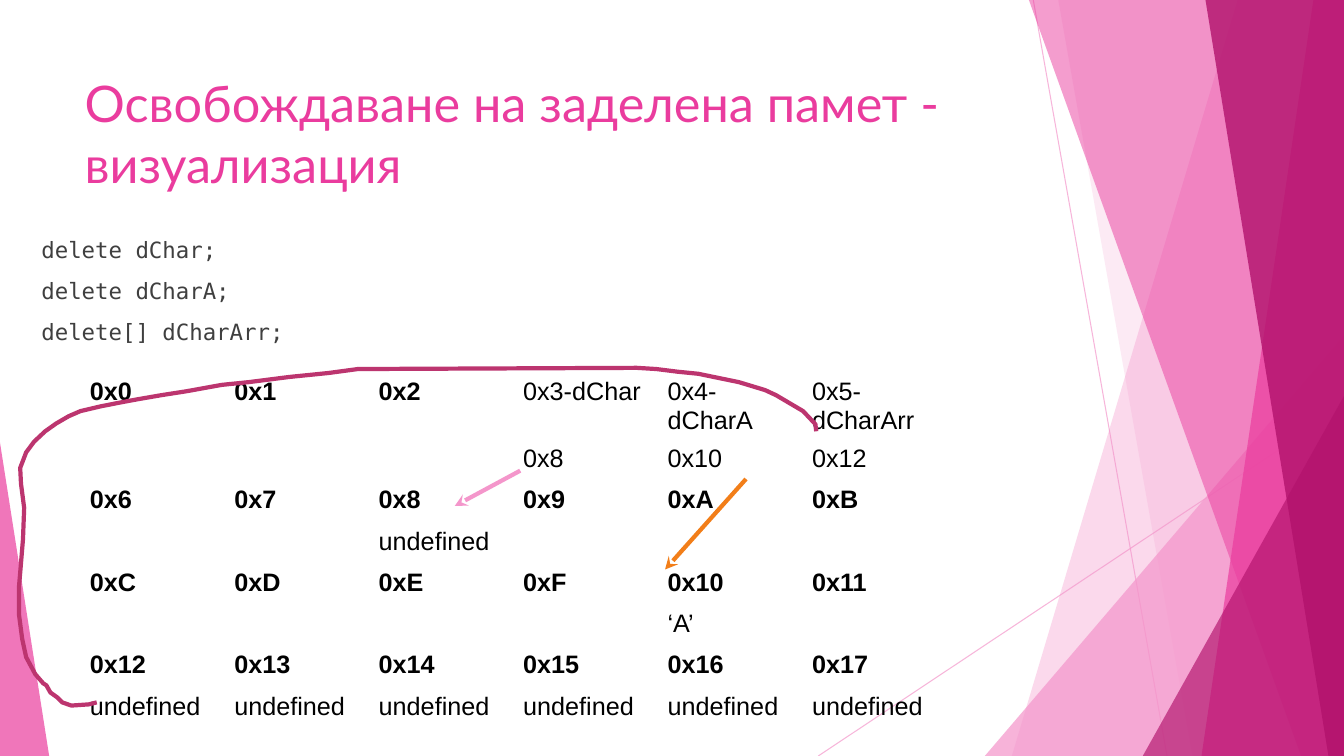
from lxml.etree import SubElement
from pptx import Presentation
from pptx.dml.color import RGBColor
from pptx.enum.shapes import MSO_CONNECTOR, MSO_SHAPE
from pptx.enum.text import MSO_ANCHOR, MSO_AUTO_SIZE, PP_ALIGN
from pptx.oxml.ns import qn
from pptx.util import Cm, Pt

COLORS = {
    "pale": "F496CB", "pink": "EA3C9E", "plum": "B2126C", "rose": "BC356F",
    "amber": "F27E19", "gray": "3F3F3F", "black": "000000",
}
WIDE, HIGH = 33.87, 19.05
NO_GRID = "{2D5ABB26-0587-4C30-8999-92F81FD0307C}"
COLS = 6

CODE = ["delete dChar;", "delete dCharA;", "delete[] dCharArr;"]
NAMES = {3: "-dChar", 4: "-dCharA", 5: "-dCharArr"}
VALUES = {3: "0x8", 4: "0x10", 5: "0x12", 8: "undefined", 16: "‘A’"}
VALUES.update({spot: "undefined" for spot in range(18, 24)})

# Hand-drawn curve from dCharArr to address 0x12
CURVE = [
    (20.57, 10.87), (20.55, 10.69), (20.24, 10.36), (19.56, 9.96),
    (19.28, 9.83), (18.62, 9.63), (17.6, 9.42), (17.09, 9.37),
    (16.54, 9.3), (16.05, 9.27), (9.02, 9.3), (8.28, 9.4), (7.29, 9.5),
    (6.27, 9.63), (5.59, 9.7), (4.7, 9.86), (4.06, 9.96), (3.48, 10.06),
    (3.1, 10.13), (2.54, 10.24), (2.03, 10.36), (1.73, 10.49),
    (1.42, 10.67), (1.14, 10.87), (0.86, 11.13), (0.66, 11.4),
    (0.56, 11.66), (0.51, 11.79), (0.53, 12.19), (0.61, 12.8),
    (0.58, 13.59), (0.51, 14.43), (0.48, 14.78), (0.48, 15.49),
    (0.56, 16.1), (0.66, 16.56), (0.89, 16.99), (1.09, 17.22),
    (1.17, 17.27), (1.27, 17.45), (1.45, 17.58), (1.57, 17.7),
    (1.8, 17.78), (2.24, 17.75), (2.44, 17.7),
]


def paint(form, color, alpha=100):
    """Colour a fill or line format, with opacity in percent."""
    fill = form.fill
    fill.solid()
    fill.fore_color.rgb = RGBColor.from_string(COLORS[color])
    return alpha * 1000


def fade(shape, alpha):
    for tint in shape.element.spPr.iter(qn("a:srgbClr")):
        SubElement(tint, qn("a:alpha"), val=str(alpha * 1000))


def write(para, text, font="Arial", size=18, color="black", bold=False):
    run = para.add_run()
    run.text = text
    run.font.name = font
    run.font.size = Pt(size)
    run.font.bold = bold
    run.font.color.rgb = RGBColor.from_string(COLORS[color])


def trace(shapes, points):
    spots = [(Cm(x), Cm(y)) for x, y in points]
    return shapes.build_freeform(*spots[0]), spots[1:]


def panel(shapes, top, base, color, alpha):
    """Fill from a slanted left edge to the right side of the slide."""
    form, rest = trace(shapes, [(top, 0), (WIDE, 0), (WIDE, HIGH), (base, HIGH)])
    form.add_line_segments(rest, close=True)
    finish(form.convert_to_shape(), color, alpha)


def wedge(shapes, left, top, width, color, alpha, tip):
    shape = shapes.add_shape(MSO_SHAPE.ISOSCELES_TRIANGLE, Cm(left), Cm(top),
                             Cm(width), Cm(HIGH - top))
    shape.adjustments[0] = tip
    finish(shape, color, alpha)


def finish(shape, color, alpha):
    shape.shadow.inherit = False
    paint(shape, color)
    shape.line.fill.background()
    fade(shape, alpha)


def rule(shapes, start, end, color, width, alpha=100, arrow=False):
    line = shapes.add_connector(MSO_CONNECTOR.STRAIGHT, Cm(start[0]), Cm(start[1]),
                                Cm(end[0]), Cm(end[1]))
    paint(line.line, color)
    line.line.width = Pt(width)
    if alpha < 100:
        fade(line, alpha)
    if arrow:
        SubElement(line.line._get_or_add_ln(), qn("a:tailEnd"), type="stealth")
    SubElement(line.element.spPr, qn("a:effectLst"))


def sketch(shapes, points, color):
    form, rest = trace(shapes, points)
    form.add_line_segments(rest, close=False)
    shape = form.convert_to_shape()
    shape.shadow.inherit = False
    shape.fill.background()
    paint(shape.line, color)
    shape.line.width = Pt(3)


def place(box, left, top, width, height):
    """Set a placeholder in front of the backdrop; return its text frame."""
    box.left, box.top = Cm(left), Cm(top)
    box.width, box.height = Cm(width), Cm(height)
    box.element.getparent().append(box.element)
    frame = box.text_frame
    frame.auto_size = MSO_AUTO_SIZE.NONE
    frame.vertical_anchor = MSO_ANCHOR.TOP
    return frame


def listing(frame, lines):
    for row, text in enumerate(lines):
        para = frame.add_paragraph() if row else frame.paragraphs[0]
        para.level = 1
        props = para._p.get_or_add_pPr()
        props.set("marL", str(Cm(1.27)))
        props.set("indent", "0")
        SubElement(props, qn("a:buNone"))
        para.space_before = Pt(10 if row else 0)
        write(para, text, font="DejaVu Sans Mono", size=16, color="gray")


def memory(shapes):
    """Rows of addresses, each followed by a row of stored values."""
    frame = shapes.add_table(8, COLS, Cm(2.01), Cm(9.4), Cm(22.24), Cm(8.32))
    next(frame.element.iter(qn("a:tableStyleId"))).text = NO_GRID
    table = frame.table
    table.first_row = table.horz_banding = False
    for col in range(COLS):
        table.columns[col].width = Cm(3.64 if col < COLS - 1 else 4.04)
    for row in range(8):
        table.rows[row].height = Cm(1.04)
        for col in range(COLS):
            cell = table.cell(row, col)
            cell.fill.background()
            spot = row // 2 * COLS + col
            head = row % 2 == 0
            text = f"0x{spot:X}{NAMES.get(spot, '')}" if head else VALUES.get(spot)
            if text:
                write(cell.text_frame.paragraphs[0], text,
                      bold=head and spot not in NAMES)


def backdrop(shapes):
    rule(shapes, (26.04, 0), (29.41, HIGH), "pale", 0.75, alpha=70)
    rule(shapes, (WIDE, 10.24), (20.62, HIGH), "pale", 0.75, alpha=70)
    panel(shapes, 31.19, 25.5, "pale", 36)
    panel(shapes, 26.67, 30.05, "pale", 20)
    wedge(shapes, 24.82, 8.46, 9.05, "pale", 72, tip=1)
    panel(shapes, 25.93, 32.79, "pink", 50)
    panel(shapes, 33.1, 30.28, "pink", 70)
    panel(shapes, 30.38, 33.48, "plum", 80)
    wedge(shapes, 28.8, 9.98, 5.07, "plum", 66, tip=1)
    wedge(shapes, 0, 11.15, 1.24, "pink", 70, tip=0)


def main():
    deck = Presentation()
    deck.slide_width, deck.slide_height = Cm(WIDE), Cm(HIGH)
    slide = deck.slides.add_slide(deck.slide_layouts[1])
    shapes = slide.shapes
    backdrop(shapes)

    # Title and code
    para = place(shapes.title, 1.88, 1.7, 23.88, 3.66).paragraphs[0]
    para.alignment = PP_ALIGN.LEFT
    write(para, "Освобождаване на заделена памет - визуализация",
          font="Lato", size=36, color="pink")
    listing(place(slide.placeholders[1], -0.48, 5.82, 32.84, 14.78), CODE)

    # Memory and pointers
    memory(shapes)
    rule(shapes, (13.11, 11.86), (11.46, 12.75), "pale", 3, arrow=True)
    rule(shapes, (18.8, 12.07), (16.76, 14.35), "amber", 3, arrow=True)
    sketch(shapes, CURVE, "rose")
    deck.save("out.pptx")


if __name__ == "__main__":
    main()
